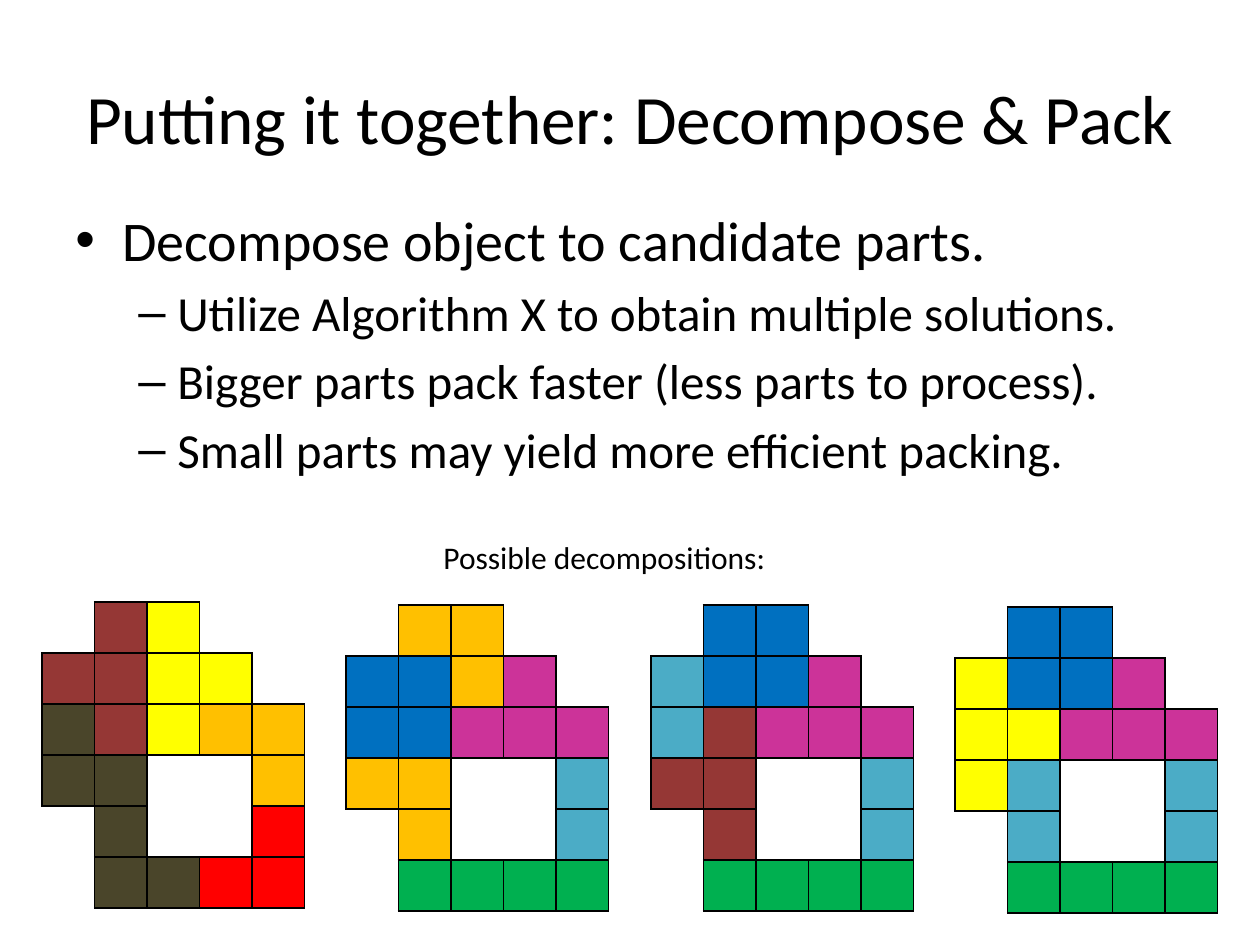
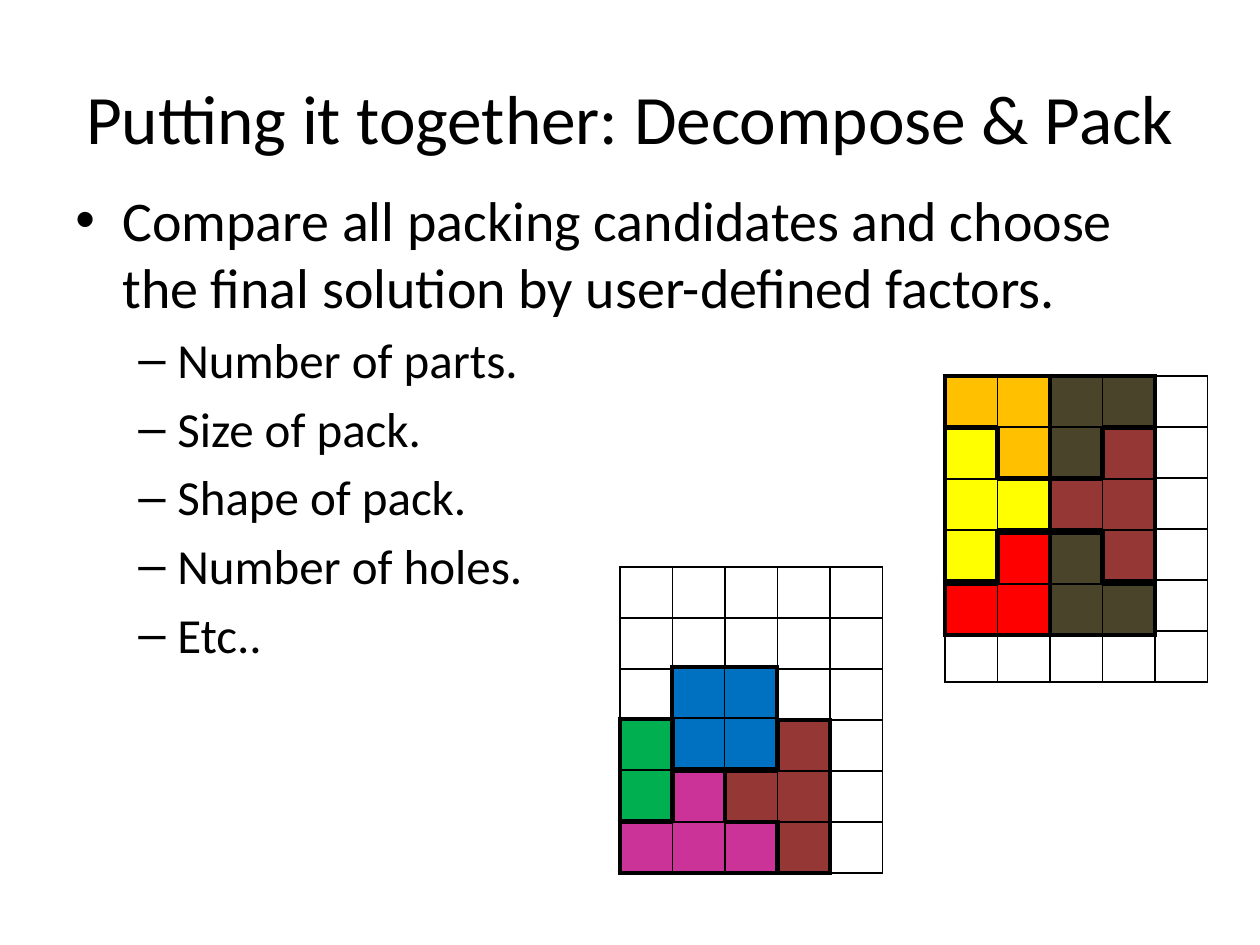
import pptx
import pptx.dml.color
import pptx.enum.text
import pptx.util
from lxml import etree
from pptx.oxml.ns import qn

RGB = pptx.dml.color.RGBColor
BLACK = RGB(0x00, 0x00, 0x00)
WHITE = RGB(0xFF, 0xFF, 0xFF)
# One letter per cell; "." is an opaque gap, " " a transparent one.
CELL_COLORS = {
    "M": RGB(0x95, 0x37, 0x35),
    "Y": RGB(0xFF, 0xFF, 0x00),
    "D": RGB(0x4A, 0x45, 0x2A),
    "O": RGB(0xFF, 0xC0, 0x00),
    "R": RGB(0xFF, 0x00, 0x00),
    "B": RGB(0x00, 0x70, 0xC0),
    "P": RGB(0xCC, 0x33, 0x99),
    "T": RGB(0x4B, 0xAC, 0xC6),
    "G": RGB(0x00, 0xB0, 0x50),
    "W": WHITE,
    ".": WHITE,
}
GAPS = ". "
FONT = "Calibri"
TITLE = "Putting it together: Decompose & Pack"
NO_GRID_STYLE = "{2D5ABB26-0587-4C30-8999-92F81FD0307C}"
PX = 914400 / 126
COLUMN = int(52.5 * PX)
ROW = int(51 * PX)
THIN, THICK = 1, 3
SIDES = {"a:lnL": (0, -1), "a:lnR": (0, 1), "a:lnT": (-1, 0), "a:lnB": (1, 0)}
# Gaps of the decomposed object that span cells: first cell, last cell
OBJECT_GAPS = [((0, 3), (0, 4)), ((3, 2), (4, 2)), ((3, 3), (4, 3)), ((4, 0), (5, 0))]


def add_text_slide(body_top, lines):
    """Add a slide with the shared title and a bullet list; the first line is the main point."""
    slide = deck.slides.add_slide(deck.slide_layouts[5])
    title = slide.shapes.title
    title.left, title.top, title.width, title.height = [int(n * PX) for n in (63, 38, 1134, 157)]
    title.text_frame.text = TITLE
    title.text_frame.auto_size = pptx.enum.text.MSO_AUTO_SIZE.NONE
    title.text_frame.vertical_anchor = pptx.enum.text.MSO_ANCHOR.MIDDLE
    heading = title.text_frame.paragraphs[0]
    heading.alignment = pptx.enum.text.PP_ALIGN.CENTER
    heading.font.name, heading.font.size = FONT, pptx.util.Pt(39.6)
    heading.font.color.rgb = BLACK

    body = slide.shapes.add_textbox(*[int(n * PX) for n in (63, body_top, 1134, 624)]).text_frame
    body.word_wrap = True
    for index, line in enumerate(lines):
        point = body.paragraphs[0] if index == 0 else body.add_paragraph()
        size, margin, indent, mark = (28, 102, -39, "–") if index else (32, 47, -47, "•")
        point.text = line
        point.level = 1 if index else 0
        point.space_before = pptx.util.Pt(size * 0.2)
        point.font.name, point.font.size = FONT, pptx.util.Pt(size)
        point.font.color.rgb = BLACK
        properties = point._p.get_or_add_pPr()
        properties.set("marL", str(int(margin * PX)))
        properties.set("indent", str(int(indent * PX)))
        etree.SubElement(properties, qn("a:buFont"), typeface="Arial")
        etree.SubElement(properties, qn("a:buChar"), char=mark)
    return slide


def add_blocks(slide, left, top, rows, outline, merges=()):
    """Draw letter rows as a table: thin lines inside a part, outline width around it."""
    columns = len(rows[0])
    frame = slide.shapes.add_table(len(rows), columns, int(left * PX), int(top * PX),
                                   COLUMN * columns, ROW * len(rows))
    table = frame.table
    table.first_row = table.horz_banding = False
    table._tbl.tblPr.find(qn("a:tableStyleId")).text = NO_GRID_STYLE
    for first, last in merges:
        table.cell(*first).merge(table.cell(*last))
    for column in table.columns:
        column.width = COLUMN
    for r, letters in enumerate(rows):
        table.rows[r].height = ROW
        for c, letter in enumerate(letters):
            cell = table.cell(r, c)
            if cell.is_spanned:
                continue
            cell.margin_top = cell.margin_bottom = 0
            for side, (down, right) in SIDES.items():
                y = r + (cell.span_height if down > 0 else down)
                x = c + (cell.span_width if right > 0 else right)
                inside = 0 <= y < len(rows) and 0 <= x < columns
                neighbour = rows[y][x] if inside else " "
                width = THIN if letter == neighbour else outline
                line = etree.SubElement(cell._tc.get_or_add_tcPr(), qn(side),
                                        w=str(pptx.util.Pt(width)))
                if letter in GAPS and neighbour in GAPS:
                    etree.SubElement(line, qn("a:noFill"))
                else:
                    fill = etree.SubElement(line, qn("a:solidFill"))
                    etree.SubElement(fill, qn("a:srgbClr"), val=str(BLACK))
            if letter in CELL_COLORS:
                cell.fill.solid()
                cell.fill.fore_color.rgb = CELL_COLORS[letter]
            else:
                cell.fill.background()
    return table


deck = pptx.Presentation()
deck.slide_width, deck.slide_height = pptx.util.Inches(10), pptx.util.Inches(7.5)

# Slide 1: four ways to decompose the same object
decompose = add_text_slide(199, [
    "Decompose object to candidate parts.",
    "Utilize Algorithm X to obtain multiple solutions.",
    "Bigger parts pack faster (less parts to process).",
    "Small parts may yield more efficient packing.",
])
decompositions = [
    (602, [".MY..", "MMYY.", "DMYOO", "DD..O", ".D..R", ".DDRR"]),
    (605, [".OO..", "BBOP.", "BBPPP", "OO..T", ".O..T", ".GGGG"]),
    (605, [".BB..", "TBBP.", "TMPPP", "MM..T", ".M..T", ".GGGG"]),
    (607, [".BB..", "YBBP.", "YYPPP", "YT..T", ".T..T", ".GGGG"]),
]
for index, (top, rows) in enumerate(decompositions):
    add_blocks(decompose, 42 + index * 609 // 2, top, rows, THIN, OBJECT_GAPS)

caption = decompose.shapes.add_textbox(*[int(n * PX) for n in (431, 532, 462, 50)]).text_frame
caption.word_wrap = True
caption.text = "Possible decompositions:"
caption_font = caption.paragraphs[0].font
caption_font.name, caption_font.size = FONT, pptx.util.Pt(18)
caption_font.color.rgb = BLACK

# Slide 2: two packings, each a grid with its parts laid on top
compare = add_text_slide(179, [
    "Compare all packing candidates and choose the final solution by user-defined factors.",
    "Number of parts.",
    "Size of pack.",
    "Shape of pack.",
    "Number of holes.",
    "Etc..",
])
packings = [
    (945, 376, [
        (945, 428, ["Y ", "YY", "Y "]),
        (945, 376, ["OO", " O"]),
        (1050, 428, [" M", "MM", " M"]),
        (945, 533, [" R", "RR"]),
        (1050, 533, ["D ", "DD"]),
        (1050, 376, ["DD", "D "]),
    ]),
    (620, 567, [
        (725, 720, [" M", "MM", " M"]),
        (620, 771, [" P ", "PPP"]),
        (672, 667, ["BB", "BB"]),
    ]),
]
for grid_left, grid_top, parts in packings:
    add_blocks(compare, grid_left, grid_top, ["WWWWW"] * 6, THIN)
    for left, top, rows in parts:
        add_blocks(compare, left, top, rows, THICK)

# The green part keeps open space to its right, the last column twice as wide
green_part = add_blocks(compare, 620, 719, ["G  ", "G  "], THICK, [((0, 1), (1, 1))])
green_part.columns[2].width = 2 * COLUMN

deck.save("out.pptx")
